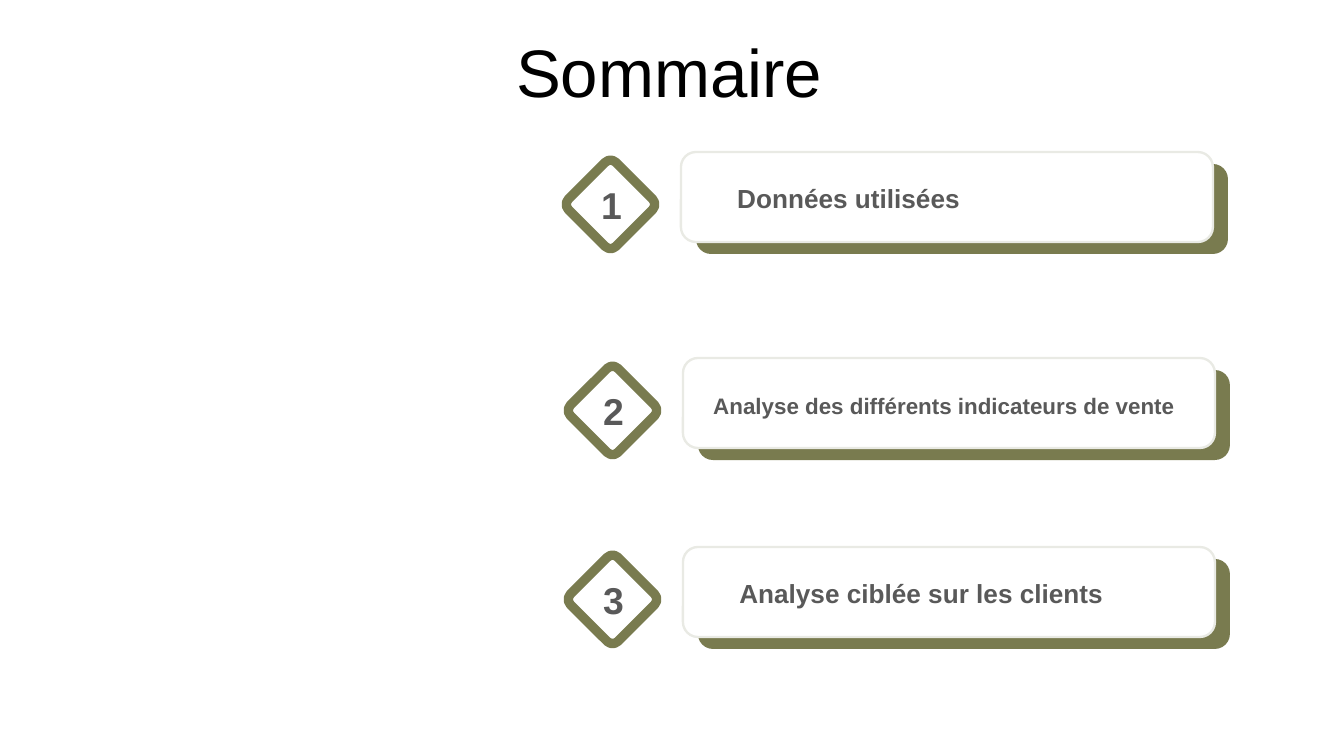
from pptx import Presentation
from pptx import util as u
from pptx.dml.color import RGBColor
from pptx.enum import shapes, text

EMU_PER_PX = 914400 / 134.4
OLIVE, WHITE, PALE, GREY, BLACK = "797B4F", "FFFFFF", "E9EAE4", "595959", "000000"


def px(length):
    """Turn a length in px into EMU."""
    return u.Emu(round(length * EMU_PER_PX))


def color(value):
    """Turn a hex string into a colour."""
    return RGBColor.from_string(value)


def add_panel(page, area, fill, line=None, width=0):
    """Add a rounded rectangle with an optional outline."""
    panel = page.shapes.add_shape(
        shapes.MSO_SHAPE.ROUNDED_RECTANGLE, *map(px, area))
    panel.shadow.inherit = False
    panel.fill.solid()
    panel.fill.fore_color.rgb = color(fill)
    if line:
        panel.line.color.rgb = color(line)
        panel.line.width = u.Pt(width)
    else:
        panel.line.fill.background()
    return panel


def add_text(page, area, words, size, ink=GREY, bold=True,
             align=text.PP_ALIGN.LEFT):
    """Add a wrapped, vertically centred line of text."""
    box = page.shapes.add_textbox(*map(px, area))
    frame = box.text_frame
    frame.word_wrap = True
    frame.vertical_anchor = text.MSO_ANCHOR.MIDDLE
    frame.text = words
    para = frame.paragraphs[0]
    para.alignment = align
    font = para.runs[0].font
    font.name, font.size, font.bold = "Arial", u.Pt(size), bold
    font.color.rgb = color(ink)


def add_badge(page, left, top, number):
    """Add a numbered diamond."""
    diamond = add_panel(page, (left, top, 67, 67), WHITE, OLIVE, 5)
    diamond.adjustments[0] = 0.11
    diamond.rotation = 45
    add_text(page, (left + 11, top + 4, 44, 59), str(number), 20,
             align=text.PP_ALIGN.CENTER)


def add_entry(page, left, top, number, words, size, indent):
    """Add a contents entry: a card on its olive backing and a badge."""
    add_panel(page, (left + 15, top + 12, 532, 90), OLIVE)
    add_panel(page, (left, top, 532, 90), WHITE, PALE, 1.25)
    middle = top + (46 if size == 14 else 48)
    add_text(page, (left + indent, middle - 23, 528, 46), words, size)
    add_badge(page, left - 104, top + 19, number)


def main():
    """Build the contents slide."""
    deck = Presentation()
    deck.slide_width, deck.slide_height = px(1344), px(756)
    page = deck.slides.add_slide(deck.slide_layouts[6])
    add_text(page, (503, 28, 841, 85), "Sommaire", 36, BLACK, False)
    entries = [
        (681, 152, "Données utilisées", 14, 43),
        (683, 358, "Analyse des différents indicateurs de vente", 12, 17),
        (683, 547, "Analyse ciblée sur les clients", 14, 43),
    ]
    for number, (left, top, words, size, indent) in enumerate(entries, 1):
        add_entry(page, left, top, number, words, size, indent)
    deck.save("out.pptx")


if __name__ == "__main__":
    main()
